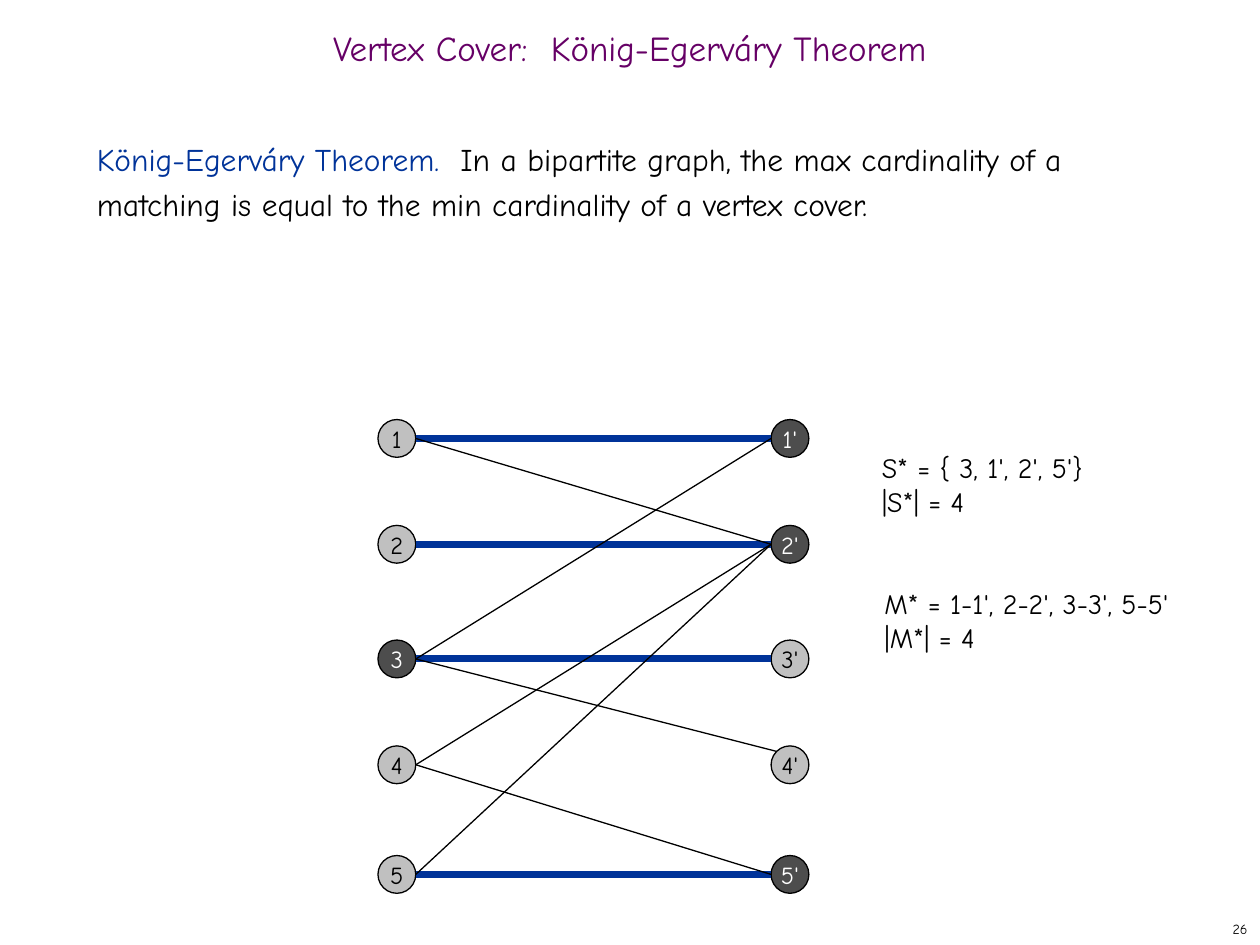
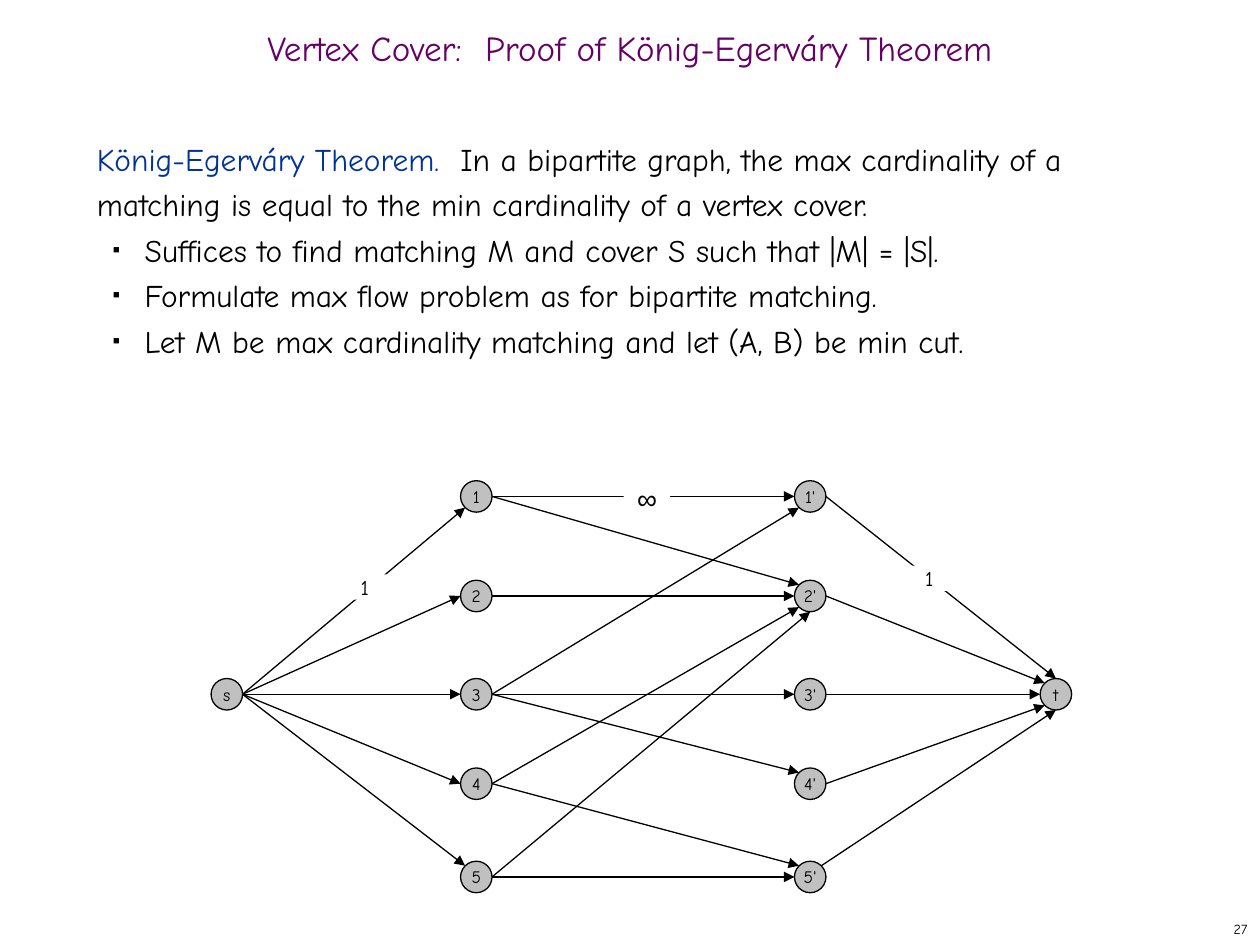
from lxml import etree
from pptx import Presentation
from pptx.dml.color import RGBColor
from pptx.enum.shapes import MSO_CONNECTOR, MSO_SHAPE
from pptx.enum.text import MSO_ANCHOR, PP_ALIGN
from pptx.oxml.ns import qn
from pptx.util import Inches, Pt

LINE, OVAL, RECT = MSO_CONNECTOR.STRAIGHT, MSO_SHAPE.OVAL, MSO_SHAPE.RECTANGLE
LEFT, MID, RIGHT = PP_ALIGN.LEFT, PP_ALIGN.CENTER, PP_ALIGN.RIGHT
TOP, CENTER = MSO_ANCHOR.TOP, MSO_ANCHOR.MIDDLE

# Shared style
FONT = "Comic Neue"
COLORS = {"title": "660066", "key": "003399", "ink": "000000",
          "paper": "FFFFFF", "node": "C0C0C0", "cover": "4D4D4D"}

# Content
THEOREM = [("König-Egerváry Theorem.", "key"),
           ("  In a bipartite graph, the max cardinality of a matching is equal "
            "to the min cardinality of a vertex cover.", "ink")]
STEPS = ["Suffices to find matching M and cover S such that |M| = |S|.",
         "Formulate max flow problem as for bipartite matching.",
         "Let M be max cardinality matching and let (A, B) be min cut."]
TITLES = ["Vertex Cover:  König-Egerváry Theorem",
          "Vertex Cover:  Proof of König-Egerváry Theorem"]
FIRST_PAGE = 26

# Edges: from, to, side met at the far node
MATCH = [(n, n + "'", "W") for n in "1235"]
CROSS = [("1", "2'", "NW"), ("3", "1'", "SW"), ("3", "4'", "NW"),
         ("4", "2'", "SW"), ("4", "5'", "NW"), ("5", "2'", "S")]
SOURCE = [("s", n, side) for n, side in zip("12345", ["SW", "W", "W", "W", "NW"])]
SINK = [(n + "'", "t", side) for n, side in zip("12345", ["N", "NW", "W", "SW", "S"])]
COVER = {"3", "1'", "2'", "5'"}
SETS = [("S* = { 3, 1', 2', 5'}\n|S*| = 4", (6.9, 3.53, 2.77, 0.63)),
        ("M* = 1-1', 2-2', 3-3', 5-5'\n|M*| = 4", (6.92, 4.61, 2.92, 0.63))]
CAPS = [("1", 12, FONT, (2.71, 4.56, 0.37, 0.2)),
        ("1", 12, FONT, (7.19, 4.49, 0.37, 0.2)),
        ("∞", 16, "Arial", (4.95, 3.82, 0.37, 0.27))]

# Layout of the two graphs
COVER_ROWS = [3.48, 4.32, 5.23, 6.07, 6.94]
FLOW_ROWS = [3.94, 4.73, 5.51, 6.22, 6.96]
DIAG = 0.71
SIDES = {"N": (0, -1), "S": (0, 1), "W": (-1, 0), "E": (1, 0), "NW": (-DIAG, -DIAG),
         "SW": (-DIAG, DIAG), "NE": (DIAG, -DIAG)}


def rgb(name):
    return RGBColor.from_string(COLORS[name])


def put(shape, text, size=18, color="ink", font=FONT, align=LEFT, anchor=TOP,
        wrap=True, inset=(0.1, 0.05), before=None, space=None):
    """Write text: a string, or a list of paragraphs made of (text, colour) runs."""
    frame = shape.text_frame
    frame.word_wrap, frame.vertical_anchor = wrap, anchor
    frame.margin_left = frame.margin_right = Inches(inset[0])
    frame.margin_top = frame.margin_bottom = Inches(inset[1])
    paras = [[(text, color)]] if isinstance(text, str) else text
    for i, runs in enumerate(paras):
        par = frame.add_paragraph() if i else frame.paragraphs[0]
        par.alignment = align
        if before:
            par.space_before = Pt(before)
        if space:
            par.line_spacing = space
        for words, tint in runs:
            for j, part in enumerate(words.split("\n")):
                if j:
                    par.add_line_break()
                run = par.add_run()
                run.text = part
                run.font.size, run.font.name = Pt(size), font
                run.font.color.rgb = rgb(tint)
    return frame


def box(slide, area, text, **style):
    return put(slide.shapes.add_textbox(*map(Inches, area)), text, **style)


def form(slide, kind, area, fill, line=None):
    shape = slide.shapes.add_shape(kind, *map(Inches, area))
    shape.shadow.inherit = False
    shape.fill.solid()
    shape.fill.fore_color.rgb = rgb(fill)
    if line:
        shape.line.color.rgb, shape.line.width = rgb(line), Pt(0.75)
    else:
        shape.line.fill.background()
    return shape


def bullet(par):
    props = par._p.get_or_add_pPr()
    props.set("lvl", "1")
    props.set("marL", str(Inches(0.38)))
    props.set("indent", str(Inches(-0.25)))
    tint = etree.SubElement(props, qn("a:buClr"))
    etree.SubElement(tint, qn("a:srgbClr"), val=COLORS["ink"])
    etree.SubElement(props, qn("a:buSzPct"), val="35000")
    etree.SubElement(props, qn("a:buFont"), typeface="Arial")
    etree.SubElement(props, qn("a:buChar"), char="■")


def port(spot, side, rad):
    return [Inches(c + rad * d) for c, d in zip(spot, SIDES[side])]


def link(slide, start, end, color="ink", width=0.75, arrow=False):
    line = slide.shapes.add_connector(LINE, *start, *end)
    line.line.color.rgb, line.line.width = rgb(color), Pt(width)
    props = line._element.spPr
    if arrow:
        etree.SubElement(props.find(qn("a:ln")), qn("a:tailEnd"), type="triangle")
    etree.SubElement(props, qn("a:effectLst"))


def places(left, right, rows):
    spots = {str(i): (left, y) for i, y in enumerate(rows, 1)}
    return spots | {n + "'": (right, y) for n, (_, y) in spots.items()}


def nodes(slide, spots, rad, size, dark=()):
    for name, (x, y) in spots.items():
        fill, ink = ("cover", "paper") if name in dark else ("node", "ink")
        oval = form(slide, OVAL, (x - rad, y - rad, 2 * rad, 2 * rad), fill, "ink")
        put(oval, name, size=size, color=ink, align=MID, anchor=CENTER, wrap=False)


def page(deck, index, body):
    slide = deck.slides.add_slide(deck.slide_layouts[6])
    box(slide, (0, 0.17, 10, 0.5), TITLES[index], size=20, color="title",
        align=MID, anchor=CENTER, space=0.7)
    frame = box(slide, (0.67, 1, 8.58, 5.92), body, space=Pt(26))
    for par in frame.paragraphs[1:]:
        bullet(par)
    box(slide, (7.92, 7.25, 2.08, 0.25), str(FIRST_PAGE + index), size=8,
        align=RIGHT, anchor=CENTER)
    return slide


def cover_page(deck):
    slide = page(deck, 0, [THEOREM])
    spots, rad = places(3.15, 6.27, COVER_ROWS), 0.15
    nodes(slide, spots, rad, 14, COVER)
    for a, b, _ in MATCH:
        link(slide, port(spots[a], "E", rad), port(spots[b], "W", rad), "key", 4)
    for a, b, _ in CROSS:
        side = "NW" if b == "4'" else "W"
        link(slide, port(spots[a], "E", rad), port(spots[b], side, rad))
    for text, area in SETS:
        box(slide, area, text, size=16, before=10)


def flow_page(deck):
    slide = page(deck, 1, [THEOREM] + [[(step, "ink")] for step in STEPS])
    spots, rad = places(3.78, 6.43, FLOW_ROWS), 0.125
    spots |= {"s": (1.8, FLOW_ROWS[2]), "t": (8.38, FLOW_ROWS[2])}
    nodes(slide, spots, rad, 10)
    for a, b, side in MATCH + CROSS + SOURCE + SINK:
        out = "NE" if a == "5'" else "E"
        link(slide, port(spots[a], out, rad), port(spots[b], side, rad), arrow=True)
    # Capacity labels break the lines beneath them
    for text, size, font, area in CAPS:
        put(form(slide, RECT, area, "paper"), text, size=size, font=font,
            align=MID, inset=(0, 0), before=size * 0.625)


def main():
    deck = Presentation()
    deck.slide_width, deck.slide_height = Inches(10), Inches(7.5)
    cover_page(deck)
    flow_page(deck)
    deck.save("out.pptx")


if __name__ == "__main__":
    main()
